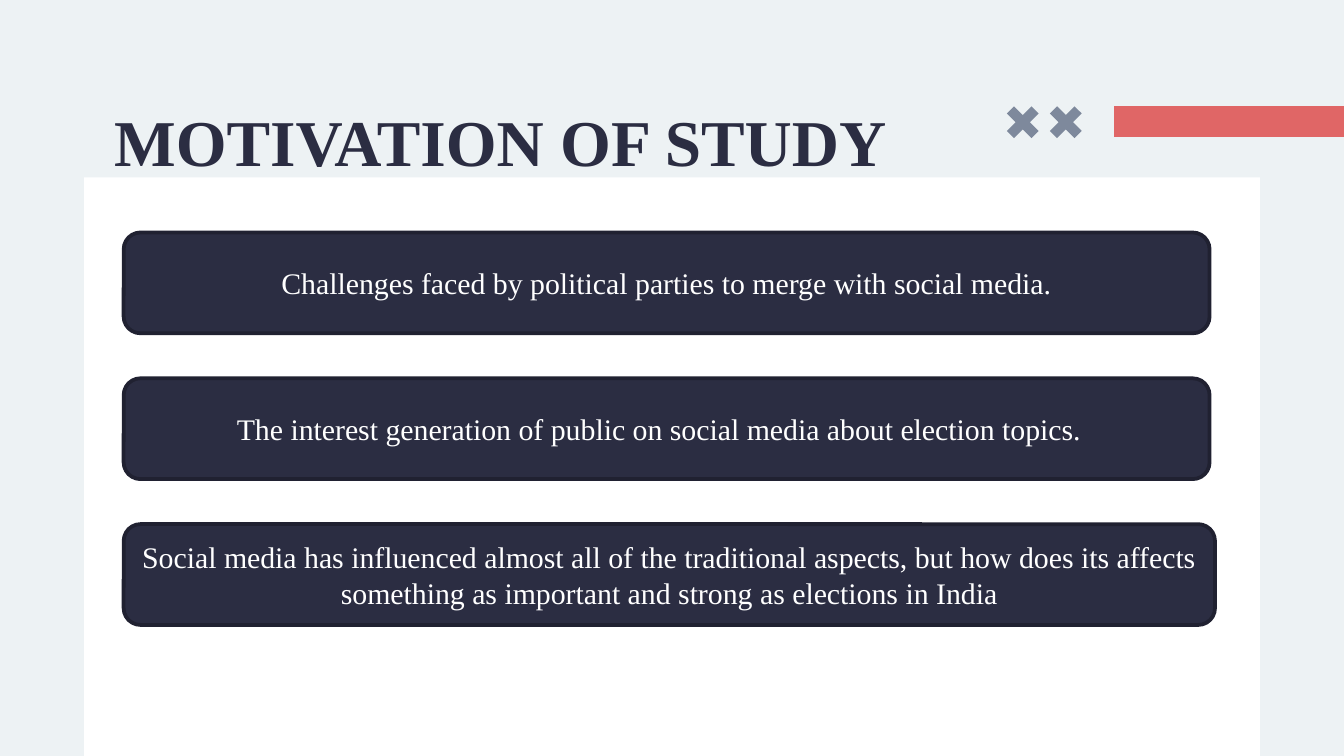
import pptx
import pptx.util
import pptx.dml.color
import pptx.enum.shapes
import pptx.enum.text

Inch = pptx.util.Inches
Pt = pptx.util.Pt
Shape = pptx.enum.shapes.MSO_SHAPE
Align = pptx.enum.text.PP_ALIGN
Anchor = pptx.enum.text.MSO_ANCHOR

# Content: each card has its text, width and right inset
TITLE = "MOTIVATION OF STUDY"
CARDS = [
    ("Challenges faced by political parties to merge with social media.", 8.08, 0.1),
    ("The interest generation of public on social media about election topics.", 8.08, 0.21),
    ("Social media has influenced almost all of the traditional aspects, "
     "but how does its affects something as important and strong as "
     "elections in India", 8.12, 0.1),
]

# Look
COLORS = {"back": "EDF2F4", "panel": "FFFFFF", "bar": "E06666", "cross": "7E899C",
          "navy": "2B2D42", "edge": "202131", "text": "FFFFFF"}
FONT = "Times New Roman"
HEAD = {"name": FONT, "size": Pt(35), "bold": True}
BODY = {"name": FONT, "size": Pt(16), "bold": False}

# Layout in inches, on a 16:9 slide
WIDE = 10
HIGH = WIDE * 9 / 16
SIDE = WIDE / 16
PANEL_TOP, PANEL_HIGH = 1.32, 4.45
BAR_LEFT, BAR_TOP, BAR_HIGH = 8.29, 0.79, 0.23
CROSS_LEFT, CROSS_TOP, CROSS_SIZE, CROSS_STEP = 7.48, 0.78, 0.26, 0.32
CARD_LEFT, CARD_TOP, CARD_LAST, CARD_HIGH = 0.92, 1.73, 3.9, 0.75
CARD_STEP = (CARD_LAST - CARD_TOP) / (len(CARDS) - 1)


def color(key):
    return pptx.dml.color.RGBColor.from_string(COLORS[key])


def apply(item, values):
    for key, value in values.items():
        setattr(item, key, value)


def draw(slide, kind, box, fill, edge=None):
    shape = slide.shapes.add_shape(kind, *map(Inch, box))
    shape.shadow.inherit = False
    shape.fill.solid()
    shape.fill.fore_color.rgb = color(fill)
    if edge:
        shape.line.color.rgb = color(edge)
        shape.line.width = Pt(2)
    else:
        shape.line.fill.background()
    return shape


def write(shape, text, font, ink, frame, align):
    apply(shape.text_frame, {"word_wrap": True, **frame})
    para = shape.text_frame.paragraphs[0]
    para.alignment = align
    run = para.add_run()
    run.text = text
    apply(run.font, font)
    run.font.color.rgb = color(ink)


def main():
    deck = pptx.Presentation()
    deck.slide_width, deck.slide_height = Inch(WIDE), Inch(HIGH)
    slide = deck.slides.add_slide(deck.slide_layouts[5])
    slide.background.fill.solid()
    slide.background.fill.fore_color.rgb = color("back")

    # Panel running off the bottom edge, and red bar
    draw(slide, Shape.RECTANGLE,
         (SIDE, PANEL_TOP, WIDE - 2 * SIDE, PANEL_HIGH), "panel")
    draw(slide, Shape.RECTANGLE,
         (BAR_LEFT, BAR_TOP, WIDE - BAR_LEFT, BAR_HIGH), "bar")

    # Pair of crosses
    for col in range(2):
        cross = draw(slide, Shape.CROSS,
                     (CROSS_LEFT + col * CROSS_STEP, CROSS_TOP,
                      CROSS_SIZE, CROSS_SIZE), "cross")
        cross.adjustments[0] = 0.356
        cross.rotation = 45

    # Title
    title = slide.shapes.title
    apply(title, {"left": Inch(0.75), "top": Inch(0.65),
                  "width": Inch(6.33), "height": Inch(0.62)})
    write(title, TITLE, HEAD, "navy",
          {"vertical_anchor": Anchor.TOP, "margin_top": Inch(0.1),
           "margin_bottom": Inch(0.1),
           "auto_size": pptx.enum.text.MSO_AUTO_SIZE.NONE},
          Align.LEFT)

    # Cards
    for row, (text, width, inset) in enumerate(CARDS):
        card = draw(slide, Shape.ROUNDED_RECTANGLE,
                    (CARD_LEFT, CARD_TOP + row * CARD_STEP, width, CARD_HIGH),
                    "navy", "edge")
        write(card, text, BODY, "text",
              {"vertical_anchor": Anchor.MIDDLE, "margin_right": Inch(inset)},
              Align.CENTER)

    deck.save("out.pptx")


if __name__ == "__main__":
    main()
